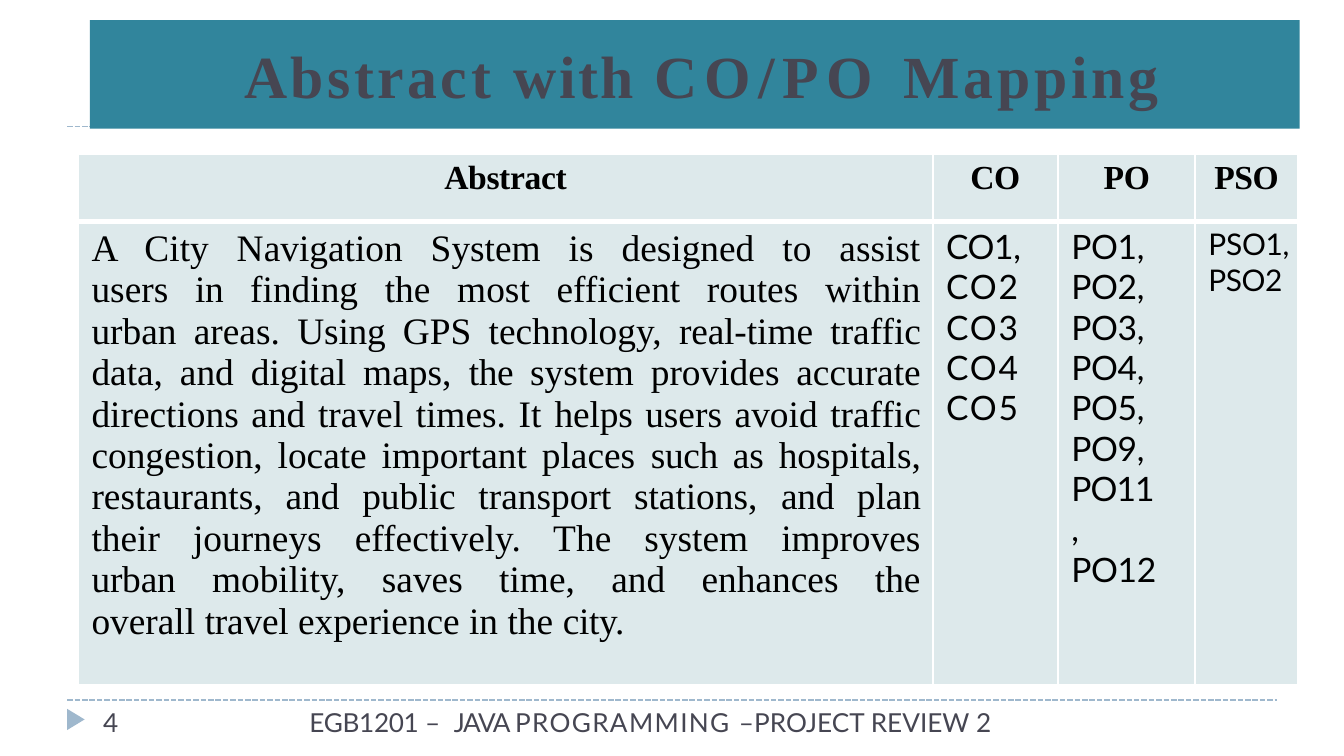
from pptx import Presentation
from pptx.dml.color import RGBColor
from pptx.enum.dml import MSO_LINE_DASH_STYLE as DASH
from pptx.enum.shapes import MSO_CONNECTOR
from pptx.enum.text import MSO_ANCHOR, MSO_AUTO_SIZE as AUTO_SIZE, PP_ALIGN as ALIGN
from pptx.oxml.ns import qn
from pptx.util import Cm, Pt
from lxml.etree import SubElement

SERIF, SANS = "Times New Roman", "Lato"
INK, BLACK, WHITE = "464652", "000000", "FFFFFF"
ACCENT, TEAL, PALE = "9FB8CD", "31859C", "DDE9EB"


def color(value):
    return RGBColor.from_string(value)


def write(paragraph, runs, size, font, ink, bold=False, align=ALIGN.LEFT, indent=0, before=0):
    """Fill a paragraph with (text, letter spacing in points) runs; \\n breaks the line."""
    properties = paragraph._p.get_or_add_pPr()
    properties.set("marL", str(Cm(indent)))
    properties.set("indent", "0")
    paragraph.alignment = align
    paragraph.space_before = Pt(before)
    paragraph.font.size = Pt(size)
    paragraph.font.name = font
    paragraph.font.bold = bold
    paragraph.font.color.rgb = color(ink)
    for text, spacing in runs:
        for index, part in enumerate(text.split("\n")):
            if index:
                paragraph.add_line_break()
            if part:
                run = paragraph.add_run()
                run.text = part
                run._r.get_or_add_rPr().set("spc", str(round(spacing * 100)))


def set_frame(frame, auto_size, top=0):
    frame.word_wrap = True
    frame.auto_size = auto_size
    frame.vertical_anchor = MSO_ANCHOR.TOP
    frame.margin_left = frame.margin_right = frame.margin_bottom = 0
    frame.margin_top = Cm(top)


def add_decoration(slide, left, right, rules, marker_top):
    # Dashed rules
    for y in rules:
        rule = slide.shapes.add_connector(MSO_CONNECTOR.STRAIGHT, Cm(left), Cm(y), Cm(right), Cm(y))
        rule.line.color.rgb = color(ACCENT)
        rule.line.width = Pt(1)
        rule.line.dash_style = DASH.SQUARE_DOT
        SubElement(rule._element.spPr, qn("a:effectLst"))
    # Page marker
    builder = slide.shapes.build_freeform(Cm(left), Cm(marker_top))
    builder.add_line_segments([(Cm(left), Cm(marker_top + 0.4)),
                               (Cm(left + 0.33), Cm(marker_top + 0.2))], close=True)
    marker = builder.convert_to_shape()
    marker.shadow.inherit = False
    marker.fill.solid()
    marker.fill.fore_color.rgb = color(ACCENT)
    marker.line.fill.background()


def add_title(slide, left, top, width, height):
    title = slide.shapes.title
    slide.shapes._spTree.append(title._element)  # in front of the rules
    title.left, title.top, title.width, title.height = Cm(left), Cm(top), Cm(width), Cm(height)
    title.fill.solid()
    title.fill.fore_color.rgb = color(TEAL)
    set_frame(title.text_frame, AUTO_SIZE.NONE, top=0.36)
    runs = [("Abstract ", 1.9), ("with ", 1.4), ("CO/PO ", 4), ("Mapping", 2)]
    write(title.text_frame.paragraphs[0], runs, 32, SERIF, INK, True, ALIGN.CENTER, 0.25)


def add_footer(slide, left, top, width, runs, indent):
    box = slide.shapes.add_textbox(Cm(left), Cm(top), Cm(width), Cm(0.62))
    set_frame(box.text_frame, AUTO_SIZE.SHAPE_TO_FIT_TEXT)
    write(box.text_frame.paragraphs[0], runs, 14, SANS, INK, indent=indent)


def style_cell(cell, top_line, bottom_line, top_margin, right_margin=0):
    cell.margin_left = cell.margin_bottom = 0
    cell.margin_top, cell.margin_right = Cm(top_margin), Cm(right_margin)
    properties = cell._tc.get_or_add_tcPr()
    for side, points in (("L", 1), ("R", 1), ("T", top_line), ("B", bottom_line)):
        border = SubElement(properties, qn(f"a:ln{side}"), w=str(Pt(points)))
        fill = SubElement(border, qn("a:solidFill"))
        SubElement(fill, qn("a:srgbClr"), val=WHITE)
    cell.fill.solid()
    cell.fill.fore_color.rgb = color(PALE)


ABSTRACT = [
    ("A City Navigation System is designed to assist\nusers ", 0), ("in ", -0.2),
    ("finding the most efficient routes within\nurban areas. ", 0), ("Using ", -0.1),
    ("GPS technology, ", 0), ("real-", -0.1),
    ("time traffic\ndata, and digital maps, ", 0), ("the ", -0.2),
    ("system provides accurate\ndirections and travel times. It ", 0), ("helps ", -0.1),
    ("users avoid traffic\ncongestion, locate important places ", 0), ("such ", -0.2),
    ("as hospitals,\nrestaurants, and public transport stations, ", 0), ("and ", -0.2),
    ("plan\ntheir journeys effectively. The system improves\n", 0), ("urban ", -0.1),
    ("mobility, saves time, and enhances the\noverall ", 0), ("travel ", -0.1),
    ("experience in the ", 0), ("city.", -0.2),
]
OUTCOMES = [("CO1, ", -0.2), ("CO2 CO3 CO4 CO5", 1)]
PROGRAM = [("PO1, PO2, PO3, PO4, PO5, PO9, ", -0.2), ("PO11, ", -0.5), ("PO12", -0.2)]
SPECIFIC = [[("PSO1,", -0.1)], [("PSO2", -0.2)]]


def add_mapping_table(slide, left, top, widths, heights):
    frame = slide.shapes.add_table(2, len(widths), Cm(left), Cm(top),
                                   Cm(sum(widths)), Cm(sum(heights)))
    table = frame.table
    table.first_row = table.horz_banding = False
    for column, width in zip(table.columns, widths):
        column.width = Cm(width)
    for row, height in zip(table.rows, heights):
        row.height = Cm(height)

    # Header row: text, alignment, indent
    headers = [("Abstract", ALIGN.CENTER, 0), ("CO", ALIGN.LEFT, 0.71),
               ("PO", ALIGN.LEFT, 0.86), ("PSO", ALIGN.LEFT, 0.36)]
    for column, (text, align, indent) in enumerate(headers):
        cell = table.cell(0, column)
        style_cell(cell, 1, 3, 0.1)
        write(cell.text_frame.paragraphs[0], [(text, -0.2)], 18, SERIF, BLACK, True,
              align, indent, before=3)

    # Body row: paragraphs, size, font, alignment, space before, top and right margins
    bodies = [([ABSTRACT], 20, SERIF, ALIGN.JUSTIFY, 0, 0.12, 0.22),
              ([OUTCOMES], 18, SANS, ALIGN.JUSTIFY, 3, 0.09, 0.25),
              ([PROGRAM], 18, SANS, ALIGN.LEFT, 3, 0.09, 0.71),
              (SPECIFIC, 16, SANS, ALIGN.LEFT, 3, 0.09, 0)]
    for column, (paragraphs, size, font, align, before, top, right) in enumerate(bodies):
        cell = table.cell(1, column)
        style_cell(cell, 3, 1, top, right)
        for index, runs in enumerate(paragraphs):
            text = cell.text_frame
            paragraph = text.add_paragraph() if index else text.paragraphs[0]
            write(paragraph, runs, size, font, BLACK, align=align, indent=0.25,
                  before=0 if index else before)


def main():
    presentation = Presentation()
    presentation.slide_width, presentation.slide_height = Cm(25.4), Cm(14.29)
    slide = presentation.slides.add_slide(presentation.slide_layouts[5])
    add_decoration(slide, 1.27, 24.13, rules=(13.23, 2.39), marker_top=13.4)
    add_title(slide, 1.7, 0.38, 22.86, 2.05)
    add_footer(slide, 1.85, 13.36, 0.64, [("4", -0.5)], 0.1)
    add_footer(slide, 5.82, 13.36, 13.44,
               [("EGB1201 ", -0.2), ("– ", 1.8), ("JAVA ", -0.8), ("PROGRAMMING ", 0.7),
                ("–PROJECT REVIEW ", 0), ("2", -0.5)], 0.03)
    add_mapping_table(slide, 1.48, 2.92, (16.15, 2.37, 2.59, 1.93), (1.27, 8.76))
    presentation.save("out.pptx")


if __name__ == "__main__":
    main()
